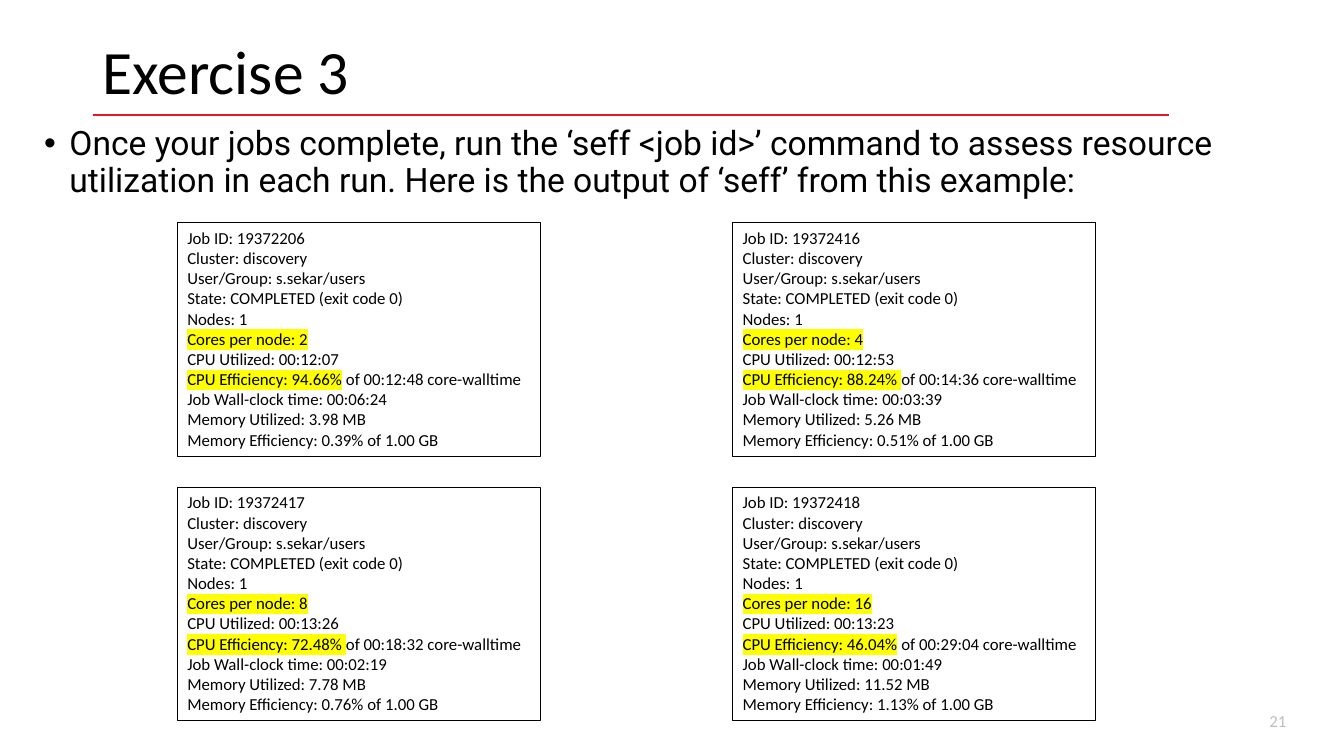
from lxml.etree import SubElement as Sub, Element
from pptx import Presentation
from pptx.dml.color import RGBColor
from pptx.enum.shapes import MSO_CONNECTOR as Conn, MSO_SHAPE as Shape
from pptx.enum.text import MSO_ANCHOR as Anchor, PP_ALIGN as Align
from pptx.oxml.ns import qn
from pptx.util import Pt

# Content
TITLE = "Exercise 3"
INTRO = ("Once your jobs complete, run the ‘seff <job id>’ command to assess "
         "resource utilization in each run. Here is the output of ‘seff’ "
         "from this example:")
PAGE = "21"
# job id, cores, CPU used, marked share, rest of line, wall time, memory, share
JOBS = [
    ("19372206", 2, "00:12:07", "94.66%", " of 00:12:48", "00:06:24", "3.98", "0.39%"),
    ("19372416", 4, "00:12:53", "88.24% ", "of 00:14:36", "00:03:39", "5.26", "0.51%"),
    ("19372417", 8, "00:13:26", "72.48% ", "of 00:18:32", "00:02:19", "7.78", "0.76%"),
    ("19372418", 16, "00:13:23", "46.04%", " of 00:29:04", "00:01:49", "11.52", "1.13%"),
]
BLACK, RED, GREY, YELLOW = "000000", "E1192B", "BFBFBF", "FFFF00"

# Grid of job boxes, in points
LEFT, TOP, WIDE, HIGH = 126.7, 159.1, 259.2, 167
STEP_X, STEP_Y = 396.7, 188.9


def paint(color, code):
    color.rgb = RGBColor.from_string(code)


def add_run(para, text, size, code=BLACK, face="Calibri", mark=None):
    run = para.add_run()
    run.text = text
    font = run.font
    font.size, font.name = Pt(size), face
    font.fill.solid()
    paint(font.fill.fore_color, code)
    if mark:
        glow = Element(qn("a:highlight"))
        Sub(glow, qn("a:srgbClr")).set("val", mark)
        run._r.rPr.find(qn("a:solidFill")).addnext(glow)


def add_box(left, top, wide, high, anchor=Anchor.TOP):
    box = slide.shapes.add_textbox(Pt(left), Pt(top), Pt(wide), Pt(high))
    frame = box.text_frame
    frame.word_wrap, frame.vertical_anchor = True, anchor
    return frame.paragraphs[0]


def job_lines(job):
    """Each line is a list of (text, highlight) runs."""
    name, cores, used, share, rest, wall, mem, part = job
    return [
        [(f"Job ID: {name}", None)],
        [("Cluster: discovery", None)],
        [("User/Group: s.sekar/users", None)],
        [("State: COMPLETED (exit code 0)", None)],
        [("Nodes: 1", None)],
        [(f"Cores per node: {cores}", YELLOW)],
        [(f"CPU Utilized: {used}", None)],
        [(f"CPU Efficiency: {share}", YELLOW), (f"{rest} core-walltime", None)],
        [(f"Job Wall-clock time: {wall}", None)],
        [(f"Memory Utilized: {mem} MB", None)],
        [(f"Memory Efficiency: {part} of 1.00 GB", None)],
    ]


def add_job(job, left, top):
    box = slide.shapes.add_shape(Shape.RECTANGLE, Pt(left), Pt(top), Pt(WIDE), Pt(HIGH))
    box.shadow.inherit = False
    box.fill.background()
    paint(box.line.color, BLACK)
    box.line.width = Pt(0.75)
    frame = box.text_frame
    frame.word_wrap, frame.vertical_anchor = True, Anchor.TOP
    for i, line in enumerate(job_lines(job)):
        para = frame.add_paragraph() if i else frame.paragraphs[0]
        para.alignment = Align.LEFT
        for text, mark in line:
            add_run(para, text, 12, mark=mark)


deck = Presentation()
deck.slide_width, deck.slide_height = Pt(960), Pt(540)
slide = deck.slides.add_slide(deck.slide_layouts[6])
slide.background.fill.solid()
paint(slide.background.fill.fore_color, "FFFFFF")

# Red rule under the title
rule = slide.shapes.add_connector(Conn.STRAIGHT, Pt(66.2), Pt(82.1), Pt(835.2), Pt(82.1))
paint(rule.line.color, RED)
rule.line.width = Pt(2)
Sub(rule._element.spPr, qn("a:effectLst"))

# Bulleted intro
intro = add_box(24.5, 87.1, 879.8, 94.3)
intro.line_spacing = 0.9
props = intro._p.get_or_add_pPr()
props.set("marL", str(Pt(18)))
props.set("indent", str(Pt(-18)))
Sub(props, qn("a:buFont")).set("typeface", "Arial")
Sub(props, qn("a:buChar")).set("char", "•")
add_run(intro, INTRO, 24, face="Roboto")

# Page number and title
page = add_box(709.9, 500.4, 216, 28.8, Anchor.MIDDLE)
page.alignment = Align.RIGHT
add_run(page, PAGE, 12, GREY)
title = add_box(66.2, 0.7, 828, 104.4, Anchor.MIDDLE)
title.line_spacing = 0.9
add_run(title, TITLE, 44)

# Job boxes, two by two
for i, job in enumerate(JOBS):
    row, col = divmod(i, 2)
    add_job(job, LEFT + col * STEP_X, TOP + row * STEP_Y)

deck.save("out.pptx")
